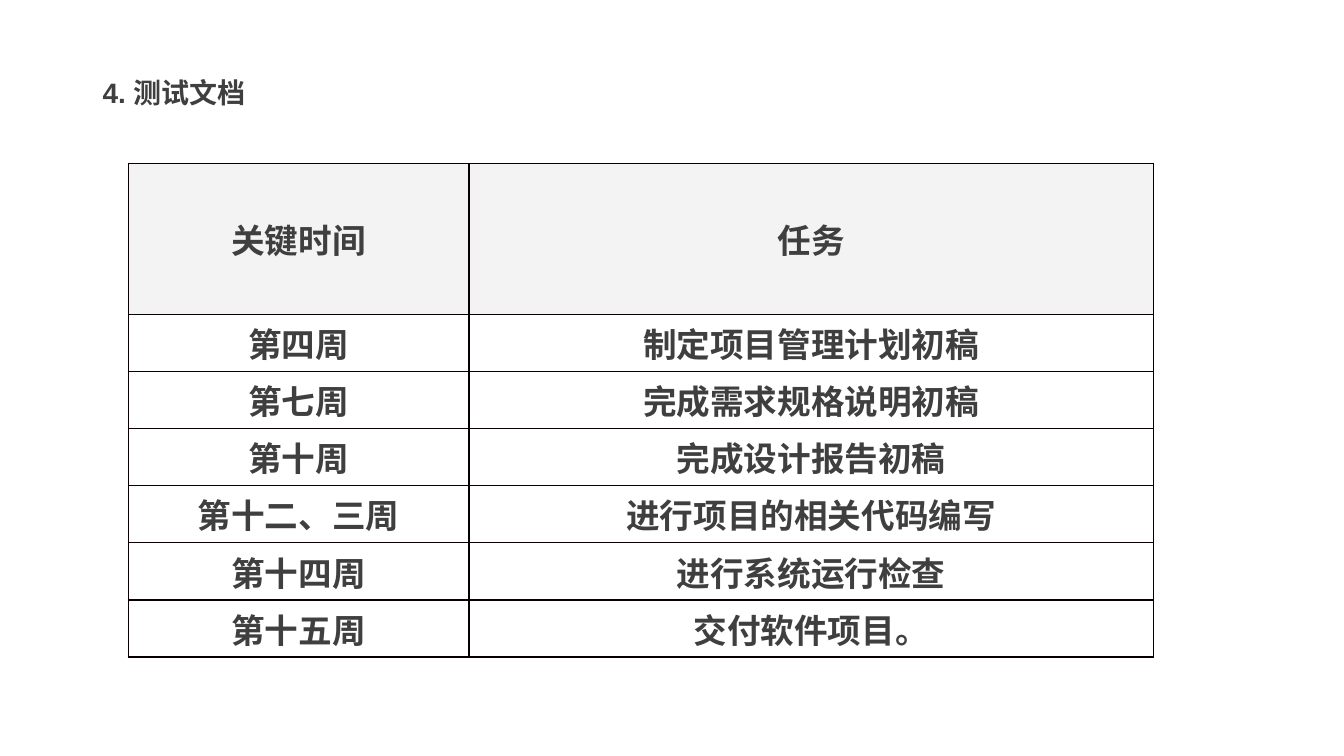
from lxml.etree import SubElement
from pptx import Presentation
from pptx.dml.color import RGBColor
from pptx.enum.text import MSO_ANCHOR, PP_ALIGN
from pptx.oxml.ns import qn
from pptx.util import Pt

FONT = "Arial"
TEXT_COLOUR = "3F3F3F"
HEADER_FILL = "F3F3F3"
GRID_COLOUR = "080000"
EDGE_COLOUR = "000000"

SCHEDULE = [
    ("关键时间", "任务"),
    ("第四周", "制定项目管理计划初稿"),
    ("第七周", "完成需求规格说明初稿"),
    ("第十周", "完成设计报告初稿"),
    ("第十二、三周", "进行项目的相关代码编写"),
    ("第十四周", "进行系统运行检查"),
    ("第十五周", "交付软件项目。"),
]
COLUMN_WIDTHS = (243.4, 488.9)
HEADER_HEIGHT, ROW_HEIGHT = 108, 40.8


def colour(value):
    return RGBColor.from_string(value)


def add_span(para, text, size):
    span = para.add_run()
    span.text = text
    span.font.name = FONT
    span.font.size = Pt(size)
    span.font.bold = True
    span.font.color.rgb = colour(TEXT_COLOUR)


def add_heading(page, text, left, top, width, height):
    box = page.shapes.add_textbox(Pt(left), Pt(top), Pt(width), Pt(height))
    frame = box.text_frame
    frame.word_wrap = True
    frame.vertical_anchor = MSO_ANCHOR.MIDDLE
    para = frame.paragraphs[0]
    para.line_spacing = 0.9
    add_span(para, text, 20)


def add_border(cell, side, value, width):
    properties = cell._tc.get_or_add_tcPr()
    line = SubElement(properties, qn(f"a:ln{side}"), w=str(Pt(width)))
    fill = SubElement(line, qn("a:solidFill"))
    SubElement(fill, qn("a:srgbClr"), val=value)


def fill_cell(cell, text, is_header, is_last_column):
    # Borders come before the fill in the cell properties
    for side in "LRTB":
        if side == "R" and is_last_column:
            add_border(cell, side, EDGE_COLOUR, 0.75)
        else:
            add_border(cell, side, GRID_COLOUR, 1)
    if is_header:
        cell.fill.solid()
        cell.fill.fore_color.rgb = colour(HEADER_FILL)
    else:
        cell.fill.background()

    # Centred text without margins
    cell.margin_left = cell.margin_right = Pt(0)
    cell.margin_top = cell.margin_bottom = Pt(0)
    cell.vertical_anchor = MSO_ANCHOR.MIDDLE
    para = cell.text_frame.paragraphs[0]
    para.alignment = PP_ALIGN.CENTER
    add_span(para, text, 24)


def add_schedule(page, left, top):
    heights = [HEADER_HEIGHT] + [ROW_HEIGHT] * (len(SCHEDULE) - 1)
    table = page.shapes.add_table(
        len(SCHEDULE), len(COLUMN_WIDTHS), Pt(left), Pt(top),
        Pt(sum(COLUMN_WIDTHS)), Pt(sum(heights))).table
    table.horz_banding = False
    for column, width in zip(table.columns, COLUMN_WIDTHS):
        column.width = Pt(width)
    for row, height in zip(table.rows, heights):
        row.height = Pt(height)
    last_column = len(COLUMN_WIDTHS) - 1
    for r, texts in enumerate(SCHEDULE):
        for c, text in enumerate(texts):
            fill_cell(table.cell(r, c), text, r == 0, c == last_column)


def main():
    deck = Presentation()
    deck.slide_width, deck.slide_height = Pt(960), Pt(540)
    page = deck.slides.add_slide(deck.slide_layouts[6])

    # Heading
    add_heading(page, "4. 测试文档", 66.24, 28.8, 828, 77.76)
    # Table of milestones
    add_schedule(page, 91.6, 116.6)

    deck.save("out.pptx")


if __name__ == "__main__":
    main()
